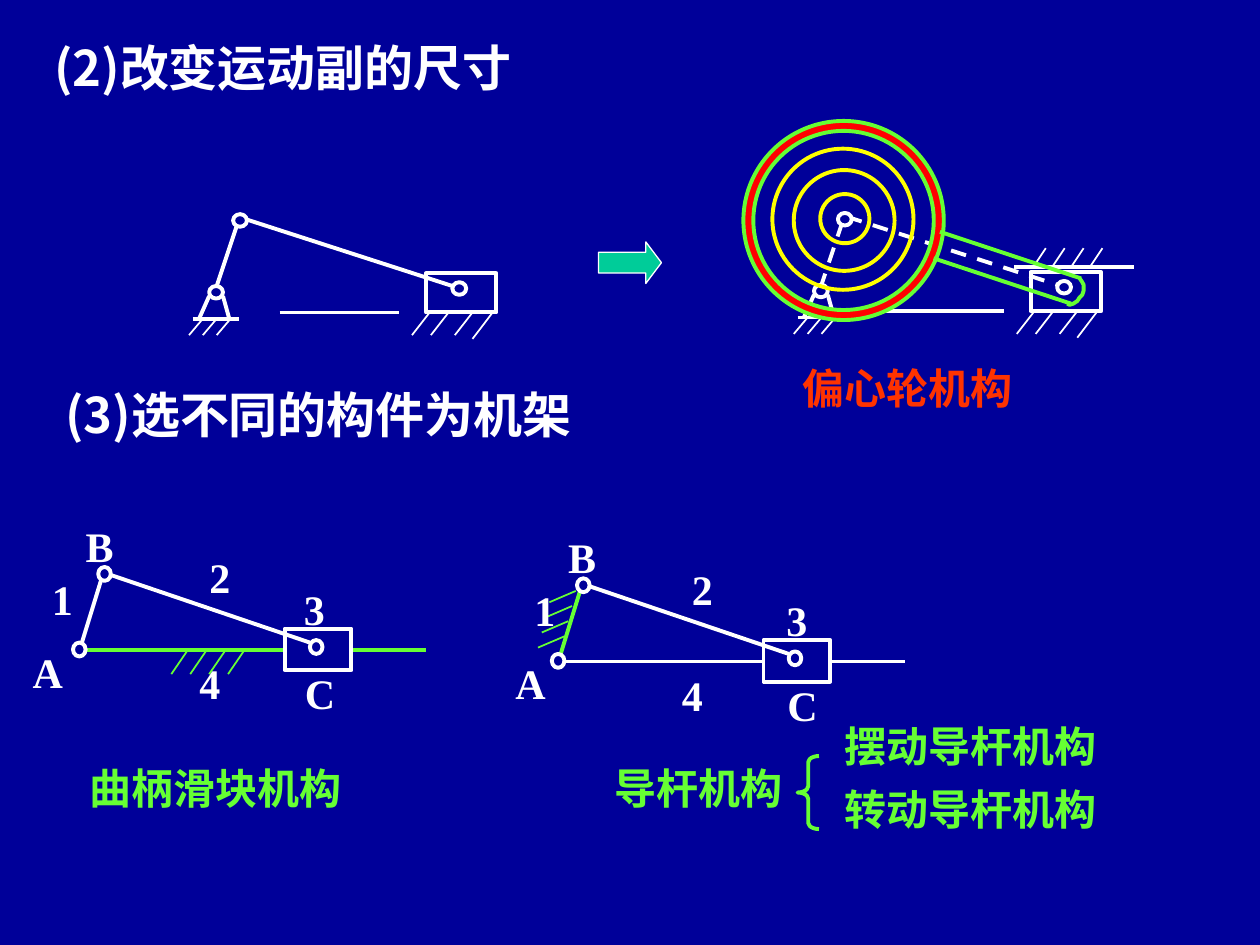
from dataclasses import dataclass

from lxml.etree import SubElement
from pptx import Presentation
from pptx.dml.color import RGBColor
from pptx.enum.dml import MSO_LINE as Dash
from pptx.enum.shapes import MSO_CONNECTOR as Conn, MSO_SHAPE as Form
from pptx.enum.text import MSO_ANCHOR as Anchor, PP_ALIGN as Align
from pptx.oxml.ns import qn
from pptx.util import Pt

PX = 9144  # 100 px to the inch


@dataclass(frozen=True)
class Theme:
    back: str = "000099"
    white: str = "FFFFFF"
    green: str = "66FF33"
    yellow: str = "FFFF00"
    red: str = "FF0000"
    orange: str = "FF3300"
    teal: str = "00CC99"
    latin: str = "Times New Roman"
    asian: str = "Noto Sans CJK SC"
    head: int = 28
    body: int = 24
    thick: float = 2.25
    thin: float = 1


T = Theme()


def rgb(code):
    return RGBColor.from_string(code)


def write(shape, text, size, color, font, align, anchor=Anchor.TOP, side=10):
    """Put one formatted paragraph into a shape."""
    frame = shape.text_frame
    frame.text = text
    frame.word_wrap = True
    frame.vertical_anchor = anchor
    frame.margin_left = frame.margin_right = side * PX
    frame.margin_top = frame.margin_bottom = 5 * PX
    par = frame.paragraphs[0]
    par.alignment = align
    par.space_before = Pt(0)
    run = par.runs[0]
    run.font.size, run.font.bold = Pt(size), True
    run.font.name, run.font.color.rgb = font, rgb(color)
    SubElement(run._r.get_or_add_rPr(), qn("a:ea"), typeface=T.asian)


class Pen:
    """Draws relative to the top left corner of a region."""

    def __init__(self, slide, x=0, y=0):
        self.shapes, self.x, self.y = slide.shapes, x, y

    def emu(self, x, y):
        return (self.x + x) * PX, (self.y + y) * PX

    def style(self, shape, fill, color, width):
        shape.shadow.inherit = False
        if fill:
            shape.fill.solid()
            shape.fill.fore_color.rgb = rgb(fill)
        else:
            shape.fill.background()
        shape.line.color.rgb = rgb(color)
        shape.line.width = Pt(width)

    def form(self, kind, x, y, w, h, fill=None, color=T.white,
             width=T.thick, adjust=()):
        shape = self.shapes.add_shape(kind, *self.emu(x, y), w * PX, h * PX)
        self.style(shape, fill, color, width)
        for i, value in enumerate(adjust):
            shape.adjustments[i] = value

    def line(self, x1, y1, x2, y2, color=T.white, width=T.thick, dash=False):
        link = self.shapes.add_connector(
            Conn.STRAIGHT, *self.emu(x1, y1), *self.emu(x2, y2))
        link.line.color.rgb = rgb(color)
        link.line.width = Pt(width)
        if dash:
            link.line.dash_style = Dash.DASH
        SubElement(link._element.spPr, qn("a:effectLst"))

    def hatch(self, starts, dx, dy, color=T.white):
        for x, y in starts:
            self.line(x, y, x + dx, y + dy, color, T.thin)

    def pins(self, spots, w, h):
        for x, y in spots:
            self.form(Form.OVAL, x, y, w, h, T.back)

    def curve(self, points, fill, color):
        first, *rest = [self.emu(*p) for p in points]
        path = self.shapes.build_freeform(*first, scale=1.0)
        path.add_line_segments(rest, close=False)
        self.style(path.convert_to_shape(), fill, color, T.thick)

    def text(self, text, x, y, w, h, *look, **more):
        box = self.shapes.add_textbox(*self.emu(x, y), w * PX, h * PX)
        write(box, text, *look, **more)

    def caption(self, text, x, y, w, color=T.green):
        self.text(text, x, y, w, 50, T.body, color, T.latin, Align.CENTER)


def headings(slide):
    look = T.head, T.white, T.asian, Align.JUSTIFY
    title = slide.shapes.title
    title.left, title.top = 33 * PX, 25 * PX
    title.width, title.height = 508 * PX, 57 * PX
    write(title, "(2)改变运动副的尺寸", *look)
    Pen(slide).text("(3)选不同的构件为机架", 42, 300, 467, 57, *look)


def crank(slide, x, y, dash=False):
    """Slider-crank on a fixed support."""
    pen = Pen(slide, x, y)
    # Slider and its guide
    pen.form(Form.RECTANGLE, 188, 52, 56, 31, T.back)
    pen.line(72, 83, 167, 83)
    pen.hatch([(dx, 83) for dx in (191, 206, 225)], -14, 18)
    pen.hatch([(241, 83)], -16, 21)
    # Support
    pen.line(3, 88, 40, 88)
    pen.line(16, 70, 8, 88)
    pen.line(27, 70, 32, 88)
    pen.hatch([(11 + 11 * i, 88) for i in range(3)], -11, 13)
    # Links and joints
    pen.line(21, 65, 40, 8, dash=dash)
    pen.line(42, 8, 209, 62, dash=dash)
    pen.pins([(16, 62), (35, 5), (209, 59)], 11, 10)


def guide(slide, x, y):
    """Hatched rail along the slider."""
    pen = Pen(slide, x, y)
    pen.line(0, 15, 95, 15)
    pen.hatch([(15 + 15 * i, 15) for i in range(4)], 10, -15)


def wheel(slide, x, y):
    """Eccentric wheel with its rod."""
    pen = Pen(slide, x, y)
    pen.form(Form.DONUT, 0, 0, 159, 158, T.red, T.green, adjust=[0.05])
    # Rod and rounded end
    pen.curve([(257, 145), (259, 146), (262, 145), (265, 143), (267, 140),
               (269, 138), (270, 135), (270, 132), (270, 130), (269, 128),
               (267, 125)], T.back, T.green)
    pen.line(156, 88, 268, 125, T.green)
    pen.line(151, 109, 260, 145, T.green)
    # Growing joint sizes
    for left, top, size in (61, 58, 39), (40, 39, 80), (23, 22, 112):
        pen.form(Form.OVAL, left, top, size, size, color=T.yellow)


def linkage(slide, x, y, fixed, shift=0):
    """Four-part mechanism; the fixed part is green and hatched."""
    pen = Pen(slide, x, y)
    arm, base = ((T.green, T.white) if fixed == 1 else (T.white, T.green))
    # Links
    pen.line(48, 102, 64, 50, arm)
    pen.line(51, 108, 321, 108, base)
    pen.form(Form.RECTANGLE, 209, 91, 53, 33, T.back)
    pen.line(67, 47, 229, 102)
    # Fixed part
    if fixed == 1:
        pen.hatch([(60 - 3 * i, 52 + 12 * i) for i in range(4)],
                  -21, 9, T.green)
    else:
        pen.hatch([(132 + 15 * i, 108) for i in range(4)], -13, 19, T.green)
    pen.pins([(41, 102), (61, 42), (229, 100)], 10, 11)
    # Labels
    for name, left, top in (("1", 16, 42), ("2", 141, 25), ("3", 216, 50),
                            ("4", 133, 109), ("A", 0, 100), ("B", 41, 0),
                            ("C", 216, 117)):
        pen.text(name, left + shift, top, 33 if name.isdigit() else 42, 50,
                 T.body, T.white, T.latin, Align.CENTER, Anchor.BOTTOM, side=0)


def kinds(slide, x, y):
    """Guide-bar mechanism and its two kinds."""
    pen = Pen(slide, x, y)
    pen.caption("导杆机构", 0, 33, 175)
    pen.form(Form.LEFT_BRACE, 166, 33, 17, 58, color=T.green,
             adjust=[0.29, 0.5])
    for i, name in enumerate(("摆动导杆机构", "转动导杆机构")):
        pen.caption(name, 191, 50 * i, 225)


def main():
    deck = Presentation()
    deck.slide_width, deck.slide_height = 1000 * PX, 750 * PX
    slide = deck.slides.add_slide(deck.slide_layouts[5])
    slide.background.fill.solid()
    slide.background.fill.fore_color.rgb = rgb(T.back)
    pen = Pen(slide)

    headings(slide)
    # Changing the joint size
    crank(slide, 150, 165)
    pen.form(Form.RIGHT_ARROW, 475, 192, 50, 33, T.teal, T.white, 0.75,
             [0.5, 0.375])
    crank(slide, 630, 164, dash=True)
    guide(slide, 805, 197)
    wheel(slide, 590, 96)
    pen.caption("偏心轮机构", 608, 283, 225, T.orange)
    # Choosing another frame
    linkage(slide, 17, 408, fixed=4)
    pen.caption("曲柄滑块机构", 42, 600, 258)
    linkage(slide, 397, 417, fixed=1, shift=3)
    kinds(slide, 467, 567)
    deck.save("out.pptx")


if __name__ == "__main__":
    main()
